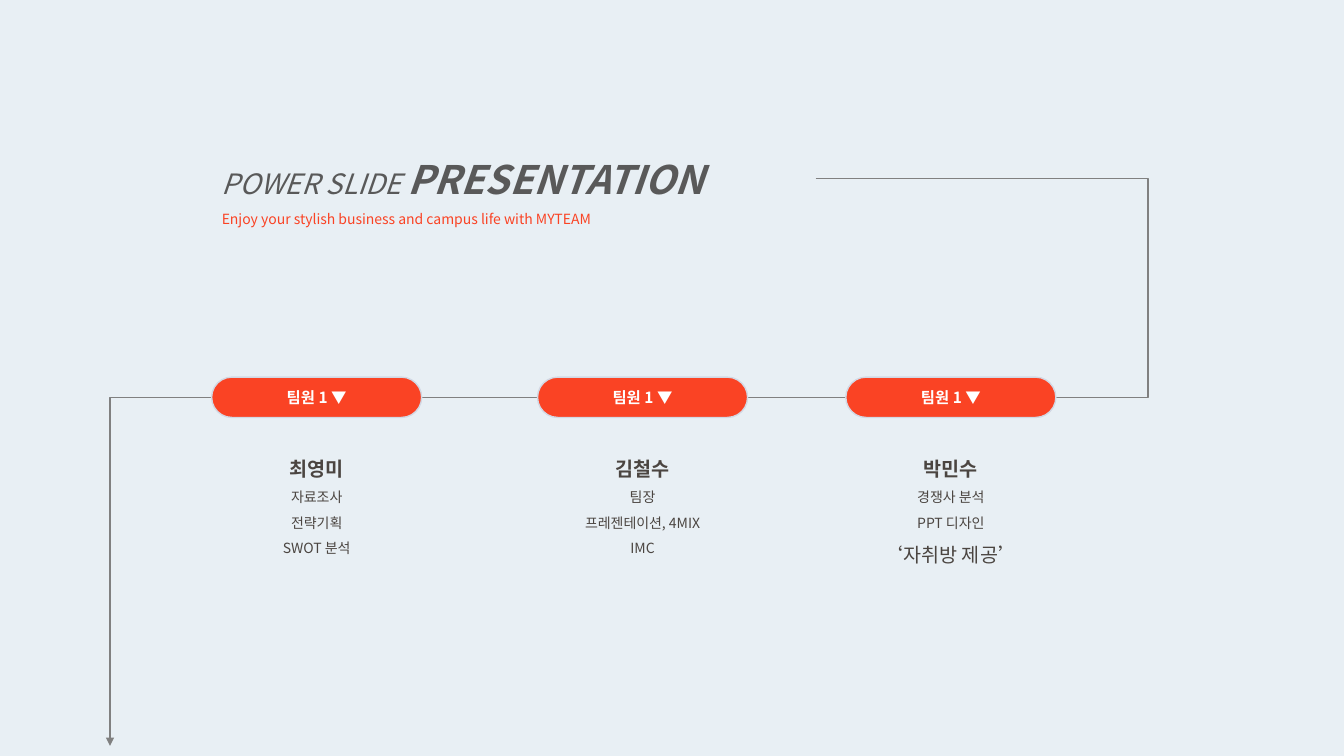
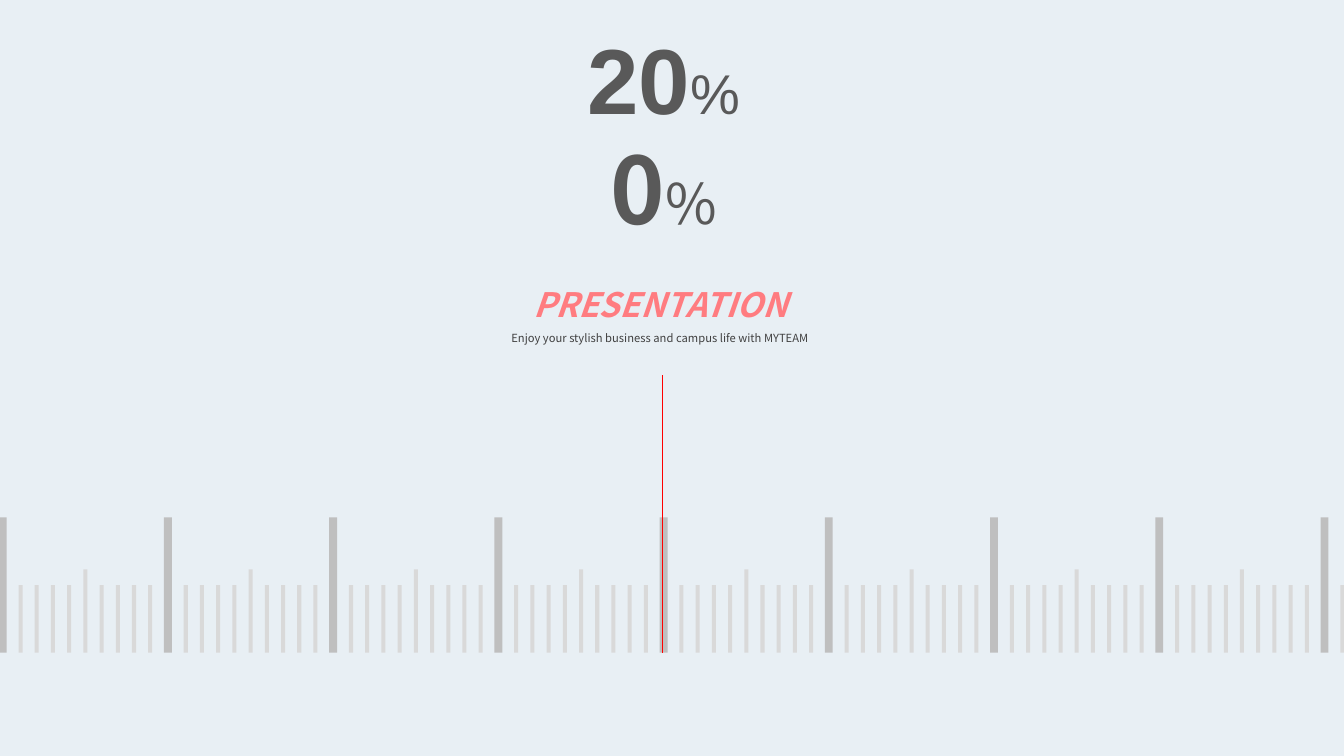
from dataclasses import dataclass

from lxml.etree import SubElement
from pptx import Presentation
from pptx.dml.color import RGBColor
from pptx.enum.shapes import MSO_CONNECTOR, MSO_SHAPE
from pptx.enum.text import MSO_ANCHOR, MSO_AUTO_SIZE, PP_ALIGN
from pptx.oxml.ns import qn
from pptx.util import Inches, Pt

COLUMNS, ROWS = 160, 90
SANS, NUMERALS = "Noto Sans CJK KR", "Arial"
BACKGROUND, ACCENT, WHITE = "E8EFF4", "FA4324", "FFFFFF"
GREY, BROWN, DARK, PINK = "595959", "4B4541", "404040", "FF7C80"
SLOGAN = "Enjoy your stylish business and campus life with MYTEAM"


@dataclass
class Piece:
    text: str
    size: float
    bold: bool = False
    italic: bool = False


@dataclass
class Line:
    pieces: list
    color: str
    font: str = SANS


def rgb(color):
    return RGBColor.from_string(color)


class Deck:
    """Holds the shared style and the current slide; lengths are grid columns and rows."""

    def __init__(self):
        self.presentation = Presentation()
        self.presentation.slide_width = Inches(13.333)
        self.presentation.slide_height = Inches(7.5)
        fill = self.presentation.slide_master.background.fill
        fill.solid()
        fill.fore_color.rgb = rgb(BACKGROUND)
        self.slide = None

    def x(self, columns):
        return round(columns * self.presentation.slide_width / COLUMNS)

    def y(self, rows):
        return round(rows * self.presentation.slide_height / ROWS)

    def box(self, left, top, width, height):
        return self.x(left), self.y(top), self.x(width), self.y(height)

    def add_slide(self):
        layout = self.presentation.slide_layouts.get_by_name("Title Only")
        self.slide = self.presentation.slides.add_slide(layout)

    def fill_text(self, shape, lines, align=PP_ALIGN.CENTER, spacing=None,
                  anchor=MSO_ANCHOR.TOP):
        frame = shape.text_frame
        frame.word_wrap = True
        frame.auto_size = MSO_AUTO_SIZE.NONE
        frame.vertical_anchor = anchor
        for index, line in enumerate(lines):
            paragraph = frame.add_paragraph() if index else frame.paragraphs[0]
            paragraph.alignment = align
            if spacing:
                paragraph.line_spacing = spacing
            self.fill_paragraph(paragraph, line)

    def fill_paragraph(self, paragraph, line):
        """Put what all pieces share on the paragraph, and the rest on the runs."""
        paragraph.font.name = line.font
        paragraph.font.color.rgb = rgb(line.color)
        properties = paragraph._p.pPr.find(qn("a:defRPr"))
        SubElement(properties, qn("a:ea")).set("typeface", line.font)
        fonts = []
        for piece in line.pieces:
            run = paragraph.add_run()
            run.text = piece.text
            fonts.append(run.font)
        for name, convert in (("size", Pt), ("bold", bool), ("italic", bool)):
            values = [convert(getattr(piece, name)) for piece in line.pieces]
            if len(set(values)) == 1:
                setattr(paragraph.font, name, values[0])
            else:
                for font, value in zip(fonts, values):
                    setattr(font, name, value)

    def title(self, box, lines, align):
        title = self.slide.shapes.title
        title.left, title.top, title.width, title.height = self.box(*box)
        self.fill_text(title, lines, align, spacing=1.5)

    def text(self, box, lines, spacing=None):
        text_box = self.slide.shapes.add_textbox(*self.box(*box))
        self.fill_text(text_box, lines, spacing=spacing)

    def shape(self, kind, box, color, parent=None):
        shape = (parent or self.slide).shapes.add_shape(kind, *self.box(*box))
        shape.shadow.inherit = False
        shape.fill.solid()
        shape.fill.fore_color.rgb = rgb(color)
        shape.line.fill.background()
        return shape

    def pill(self, box, line):
        pill = self.shape(MSO_SHAPE.ROUNDED_RECTANGLE, box, ACCENT)
        pill.adjustments[0] = 0.5
        pill.line.color.rgb = rgb("D2D8E4")
        pill.line.width = Pt(1)
        self.fill_text(pill, [line], anchor=MSO_ANCHOR.MIDDLE)

    def connector(self, kind, start, end, color, width):
        connector = self.slide.shapes.add_connector(
            kind, self.x(start[0]), self.y(start[1]), self.x(end[0]), self.y(end[1]))
        connector.line.color.rgb = rgb(color)
        connector.line.width = Pt(width)
        SubElement(connector._element.spPr, qn("a:effectLst"))
        return connector

    def bent_arrow(self, start, end, turn_column, turn_row):
        """Draw an arrow that runs out to turn_column, then back along turn_row."""
        arrow = self.connector(MSO_CONNECTOR.ELBOW, start, end, "808080", 1)
        properties = arrow._element.spPr
        geometry = properties.find(qn("a:prstGeom"))
        geometry.set("prst", "bentConnector4")
        guides = geometry.find(qn("a:avLst"))
        if guides is None:
            guides = SubElement(geometry, qn("a:avLst"))
        shares = ((turn_column - start[0]) / (end[0] - start[0]),
                  (turn_row - start[1]) / (end[1] - start[1]))
        for number, share in enumerate(shares, 1):
            guide = SubElement(guides, qn("a:gd"))
            guide.set("name", f"adj{number}")
            guide.set("fmla", f"val {round(share * 100000)}")
        SubElement(properties.find(qn("a:ln")), qn("a:tailEnd")).set("type", "triangle")

    def ruler(self, first, bottom, pitch, minor_offset, minor_pitch):
        """Draw a tall tick at each pitch, with nine short ones after it."""
        group = self.slide.shapes.add_group_shape()

        def tick(left, width, height, color):
            if left < COLUMNS:
                self.shape(MSO_SHAPE.RECTANGLE, (left, bottom - height, width, height),
                           color, group)

        for major in range(9):
            left = first + major * pitch
            tick(left, 0.94, 16.1, "BFBFBF")
            for minor in range(9):
                tick(left + minor_offset + minor * minor_pitch, 0.48,
                     9.9 if minor == 4 else 8.05, "D9D9D9")


def build_team(deck):
    deck.add_slide()
    deck.bent_arrow((97.1, 21.25), (13.1, 88.8), turn_column=136.65, turn_row=47.3)
    deck.title((25.2, 15.1, 72, 12.4), [
        Line([Piece("POWER SLIDE ", 20, italic=True),
              Piece("PRESENTATION", 28, bold=True, italic=True)], GREY),
        Line([Piece(SLOGAN, 10)], ACCENT),
    ], PP_ALIGN.LEFT)
    members = [
        (25.2, "최영미", [("자료조사", 10), ("전략기획", 10), ("SWOT 분석", 10)]),
        (64, "김철수", [("팀장", 10), ("프레젠테이션, 4MIX", 10), ("IMC", 10)]),
        (100.7, "박민수", [("경쟁사 분석", 10), ("PPT 디자인", 10), ("‘자취방 제공’", 14)]),
    ]
    for left, name, duties in members:
        deck.pill((left, 44.9, 25, 4.8),
                  Line([Piece("팀원 1 ", 11, bold=True), Piece("▼", 11)], WHITE))
        lines = [Line([Piece(name, 14, bold=True)], BROWN)]
        lines += [Line([Piece(duty, size)], BROWN) for duty, size in duties]
        deck.text((left, 52.4, 25, 15.7), lines, spacing=1.5)


def build_ruler(deck):
    deck.add_slide()
    deck.text((66.5, 2, 25, 27.8), [
        Line([Piece(number, 66, bold=True), Piece("%", 40)], GREY, font)
        for number, font in (("20", NUMERALS), ("0", SANS))
    ])
    deck.ruler(first=-0.15, bottom=77.7, pitch=19.67, minor_offset=2.36, minor_pitch=1.93)
    deck.connector(MSO_CONNECTOR.STRAIGHT, (78.85, 44.65), (78.85, 77.7), "FF0000", 0.5)
    deck.title((42.4, 30.8, 72.4, 11.2), [
        Line([Piece("PRESENTATION", 24, bold=True, italic=True)], PINK),
        Line([Piece(SLOGAN, 8)], DARK),
    ], PP_ALIGN.CENTER)


def main():
    deck = Deck()
    build_team(deck)
    build_ruler(deck)
    deck.presentation.save("out.pptx")


if __name__ == "__main__":
    main()
